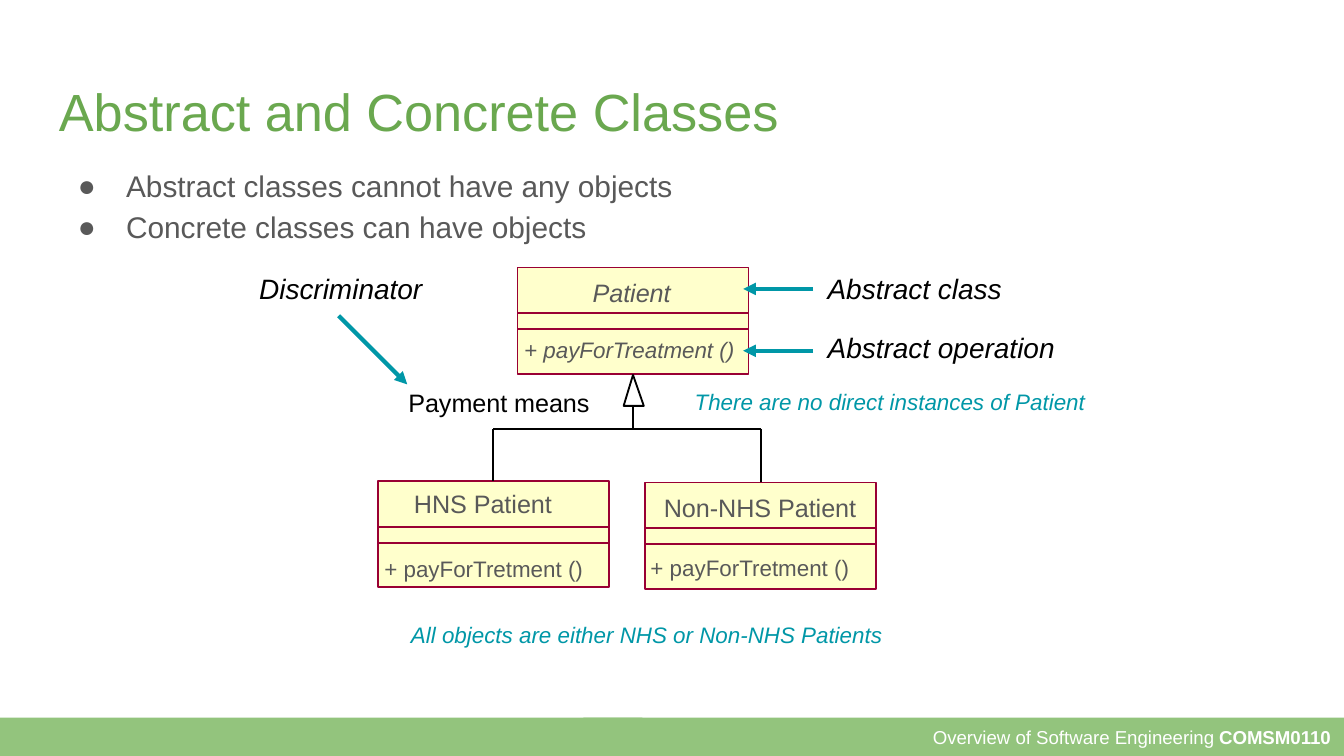
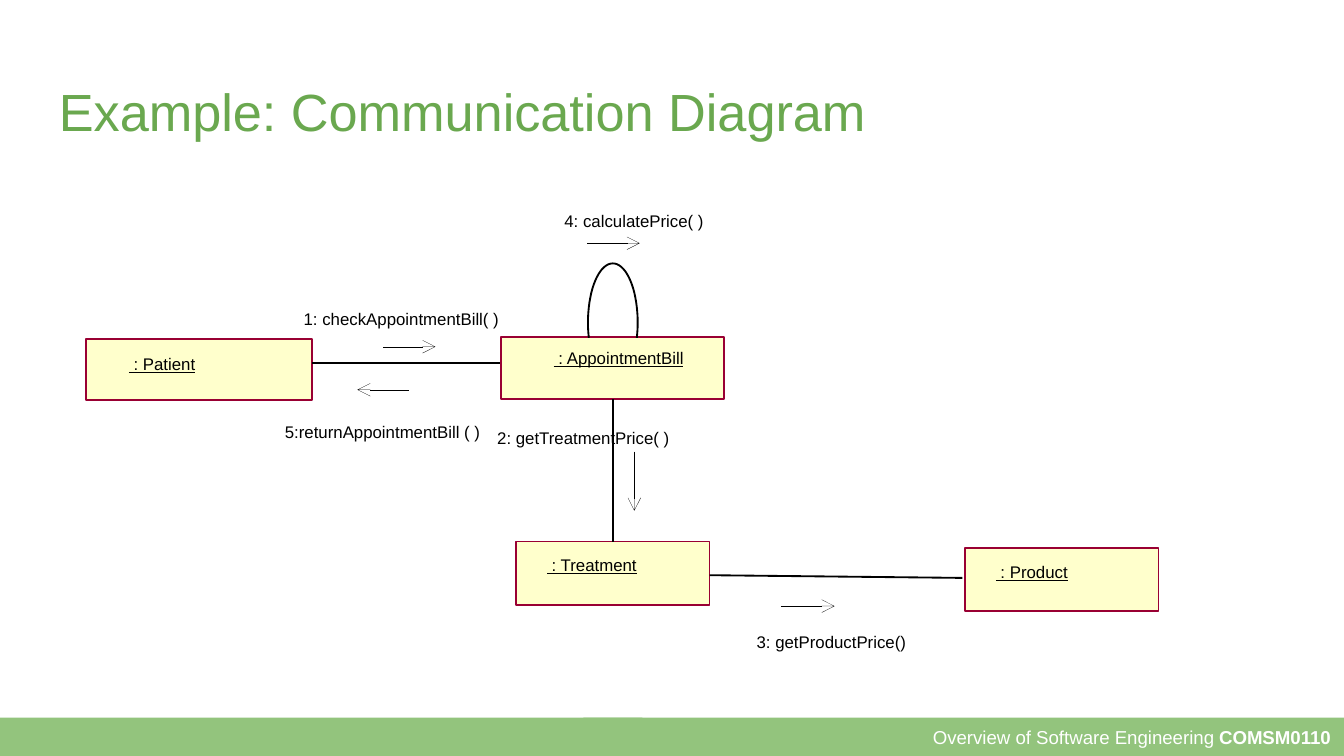
import math
from lxml import etree
from pptx import Presentation, util as u
from pptx.dml.color import RGBColor
from pptx.enum import shapes, text
from pptx.oxml.ns import qn

PX = 9144  # 100 px to the inch
FONT = "Arial"
GREEN, BAND, TEAL, GREY = "6AA84F", "93C47D", "0097A7", "595959"
CREAM, MAROON, BLACK, WHITE = "FFFFCC", "990033", "000000", "FFFFFF"
HAIRLINE = 0.01
rgb = RGBColor.from_string


def label(slide, x, y, w, h, words, size, color, inset=(10, 5), wrap=True,
          grow=True, italic=None, underline=None):
    frame = slide.shapes.add_textbox(x * PX, y * PX, w * PX, h * PX).text_frame
    frame.word_wrap = wrap
    frame.auto_size = (text.MSO_AUTO_SIZE.SHAPE_TO_FIT_TEXT if grow
                       else text.MSO_AUTO_SIZE.NONE)
    frame.margin_left = frame.margin_right = inset[0] * PX
    frame.margin_top = frame.margin_bottom = inset[1] * PX
    for i, words_line in enumerate(words.split("\n")):
        para = frame.add_paragraph() if i else frame.paragraphs[0]
        run = para.add_run()
        run.text = words_line
        run.font.name, run.font.size = FONT, u.Pt(size)
        run.font.italic, run.font.underline = italic, underline
        run.font.color.rgb = rgb(color)
    return frame


def line(slide, x1, y1, x2, y2, color=BLACK, width=1, head=None):
    link = slide.shapes.add_connector(shapes.MSO_CONNECTOR.STRAIGHT,
                                      x1 * PX, y1 * PX, x2 * PX, y2 * PX)
    link.line.color.rgb = rgb(color)
    link.line.width = u.Pt(width)
    if head:
        etree.SubElement(link.line._get_or_add_ln(), qn("a:tailEnd"), type=head)
    etree.SubElement(link._element.spPr, qn("a:effectLst"))
    return link


prs = Presentation()
prs.slide_width, prs.slide_height = u.Inches(10), u.Inches(5.625)

# Title and footer on every slide
slides = []
for title in ("Abstract and Concrete Classes", "Example: Communication Diagram"):
    slide = prs.slides.add_slide(prs.slide_layouts[6])
    slides.append(slide)
    for x, w in ((434, 566), (0, 478)):
        band = slide.shapes.add_shape(shapes.MSO_SHAPE.RECTANGLE,
                                      x * PX, 534 * PX, w * PX, 29 * PX)
        band.shadow.inherit = False
        band.fill.solid()
        band.fill.fore_color.rgb = rgb(BAND)
        band.line.fill.background()
        if x:
            frame = band.text_frame
            frame.vertical_anchor = text.MSO_ANCHOR.MIDDLE
            frame.margin_left = frame.margin_right = 10 * PX
            frame.margin_top = frame.margin_bottom = 10 * PX
            frame.paragraphs[0].alignment = text.PP_ALIGN.RIGHT
            for words, bold in (("Overview of Software Engineering ", None),
                                ("COMSM0110", True)):
                run = frame.paragraphs[0].add_run()
                run.text = words
                run.font.name, run.font.size, run.font.bold = FONT, u.Pt(10), bold
                run.font.color.rgb = rgb(WHITE)
    label(slide, 34, 49, 932, 63, title, 28, GREEN, (10, 10), grow=False)
classes, messages = slides

# Class and object boxes of both diagrams
CLASS_W, CLASS_H = 172, 79
class_spots = {"parent": (385, 199), "nhs": (281, 358), "non_nhs": (480, 359)}
boxes = {}
for slide, name, x, y, w, h in (
        *((classes, name, x, y, CLASS_W, CLASS_H)
          for name, (x, y) in class_spots.items()),
        (messages, "bill", 373, 251, 166, 46),
        (messages, "treatment", 384, 403, 144, 47),
        (messages, "patient", 64, 252, 168, 46),
        (messages, "product", 718, 408, 144, 47)):
    box = slide.shapes.add_shape(shapes.MSO_SHAPE.RECTANGLE,
                                 x * PX, y * PX, w * PX, h * PX)
    box.shadow.inherit = False
    box.fill.solid()
    box.fill.fore_color.rgb = rgb(CREAM)
    box.line.color.rgb = rgb(MAROON)
    box.line.width = u.Pt(1)
    boxes[name] = box

# Slide 1: bullets
bullets = label(classes, 34, 111, 619, 72, "Abstract classes cannot have any objects\n"
                "Concrete classes can have objects", 16, GREY, (10, 10), grow=False)
for para in bullets.paragraphs:
    para.line_spacing = 1.15
    props = para._p.get_or_add_pPr()
    props.set("marL", str(50 * PX))
    props.set("indent", str(-36 * PX))
    dot_color = etree.SubElement(props, qn("a:buClr"))
    etree.SubElement(dot_color, qn("a:srgbClr"), val=GREY)
    etree.SubElement(props, qn("a:buFont"), typeface=FONT)
    etree.SubElement(props, qn("a:buChar"), char="●")

# Class compartments
for x, y in class_spots.values():
    for drop in (34, 46):
        line(classes, x, y + drop, x + CLASS_W, y + drop, MAROON)

# Inheritance tree
BUS_Y = 319
centre = {name: x + CLASS_W // 2 for name, (x, y) in class_spots.items()}
for name in ("nhs", "non_nhs"):
    branch = line(classes, centre[name], BUS_Y, centre[name], class_spots[name][1])
    branch.end_connect(boxes[name], 0)
line(classes, centre["nhs"], BUS_Y, centre["non_nhs"], BUS_Y)
line(classes, centre["parent"], BUS_Y, centre["parent"], 302)
tip = classes.shapes.build_freeform(centre["parent"], 279, scale=PX)
tip.add_line_segments([(479, 302), (464, 302)], close=True)

# Self-call loop: an arch running a little past a half ellipse
arch = [(round((456 - 18.5 * math.cos(math.radians(a))) * PX),
         round((240 - 44 * math.sin(math.radians(a))) * PX))
        for a in range(-15, 196, 5)]
loop = messages.shapes.build_freeform(*arch[0], scale=1.0)
loop.add_line_segments(arch[1:], close=False)

for outline in (tip.convert_to_shape(), loop.convert_to_shape()):
    outline.shadow.inherit = False
    outline.fill.background()
    outline.line.color.rgb = rgb(BLACK)
    outline.line.width = u.Pt(1)

# Class names and operations
for x, y, w, h, words, size, italic in (
        (433, 202, 84, 30, "Patient", 13.5, True),
        (382, 246, 175, 28, "+ payForTreatment ()", 12, True),
        (300, 359, 119, 30, "HNS Patient", 13.5, None),
        (278, 409, 165, 28, "+ payForTretment ()", 12, None),
        (486, 362, 160, 30, "Non-NHS Patient", 13.5, None),
        (476, 408, 165, 28, "+ payForTretment ()", 12, None)):
    label(classes, x, y, w, h, words, size, GREY, (8, 4), wrap=False, italic=italic)

# Annotations and their arrows
for x, y, w, h, words, size, color, italic in (
        (507, 284, 395, 30, "There are no direct instances of Patient", 12, TEAL, True),
        (296, 457, 426, 30, "All objects are either NHS or Non-NHS Patients", 12, TEAL, True),
        (606, 197, 187, 35, "Abstract class", 15, BLACK, True),
        (606, 241, 202, 35, "Abstract operation", 15, BLACK, True),
        (183, 197, 160, 35, "Discriminator", 15, BLACK, True),
        (294, 283, 156, 33, "Payment means", 13.5, BLACK, None)):
    label(classes, x, y, w, h, words, size, color, italic=italic)
for ends in ((605, 215, 553, 215), (605, 261, 553, 261), (252, 235, 303, 286)):
    line(classes, *ends, TEAL, 2.25, "triangle")

# Slide 2: links between objects
line(messages, 372, 270, 232, 270)
line(messages, 528, 428, 716, 430)
bill_treatment = line(messages, 456, 297, 456, 403)
bill_treatment.begin_connect(boxes["bill"], 2)
bill_treatment.end_connect(boxes["treatment"], 0)

# Object names and messages
for x, y, w, words, underline in (
        (96, 263, 50, " : Patient", True),
        (412, 259, 98, " : AppointmentBill", True),
        (407, 413, 68, " : Treatment", True),
        (741, 418, 54, " : Product", True),
        (226, 230, 147, "1: checkAppointmentBill( )", None),
        (370, 318, 130, "2: getTreatmentPrice( )", None),
        (563, 470, 116, "3: getProductPrice()", None),
        (420, 157, 104, "4: calculatePrice( )", None),
        (212, 314, 147, "5:returnAppointmentBill ( )", None)):
    label(messages, x, y, w, 15, words, 9, BLACK, (0, 0), wrap=False, underline=underline)

# Message directions, in message order
for ends in ((285, 258, 324, 258), (472, 336, 472, 380), (581, 451, 621, 451),
             (437, 181, 476, 181), (304, 290, 266, 290)):
    line(messages, *ends, width=HAIRLINE, head="arrow")

prs.save("out.pptx")
